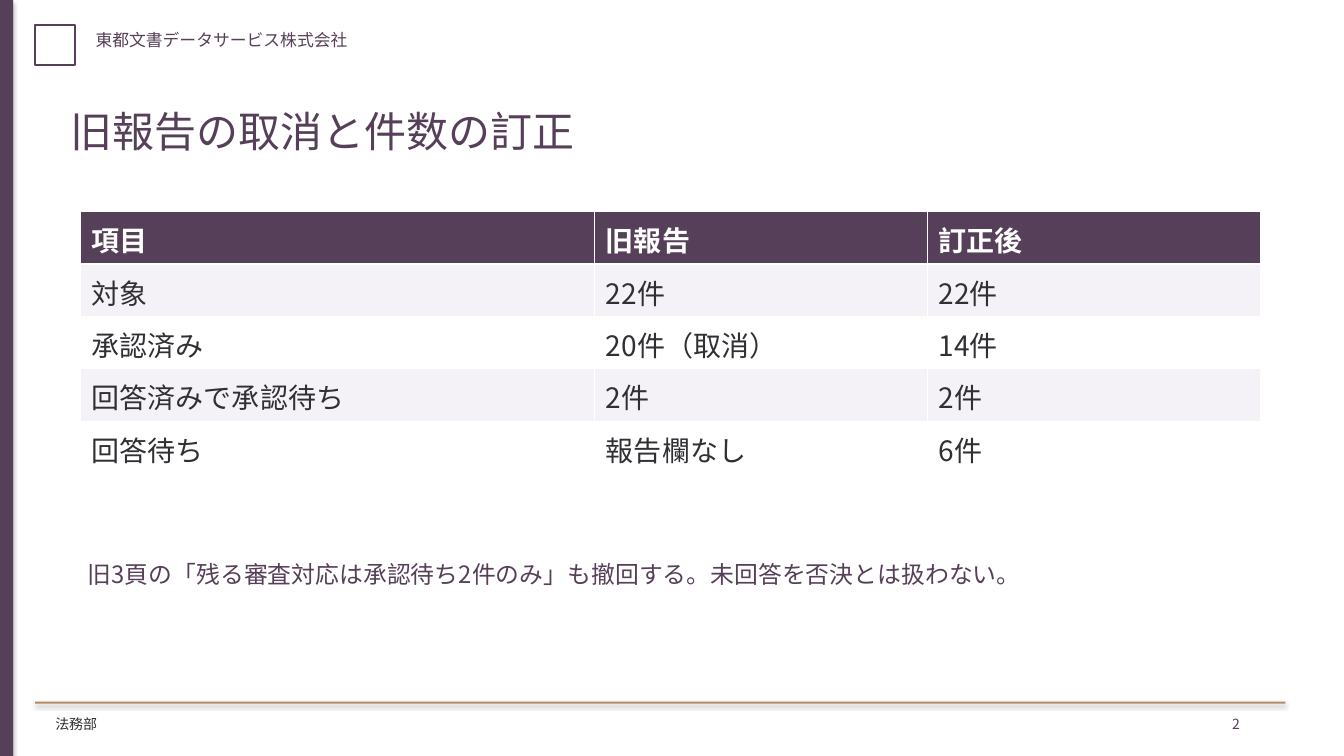
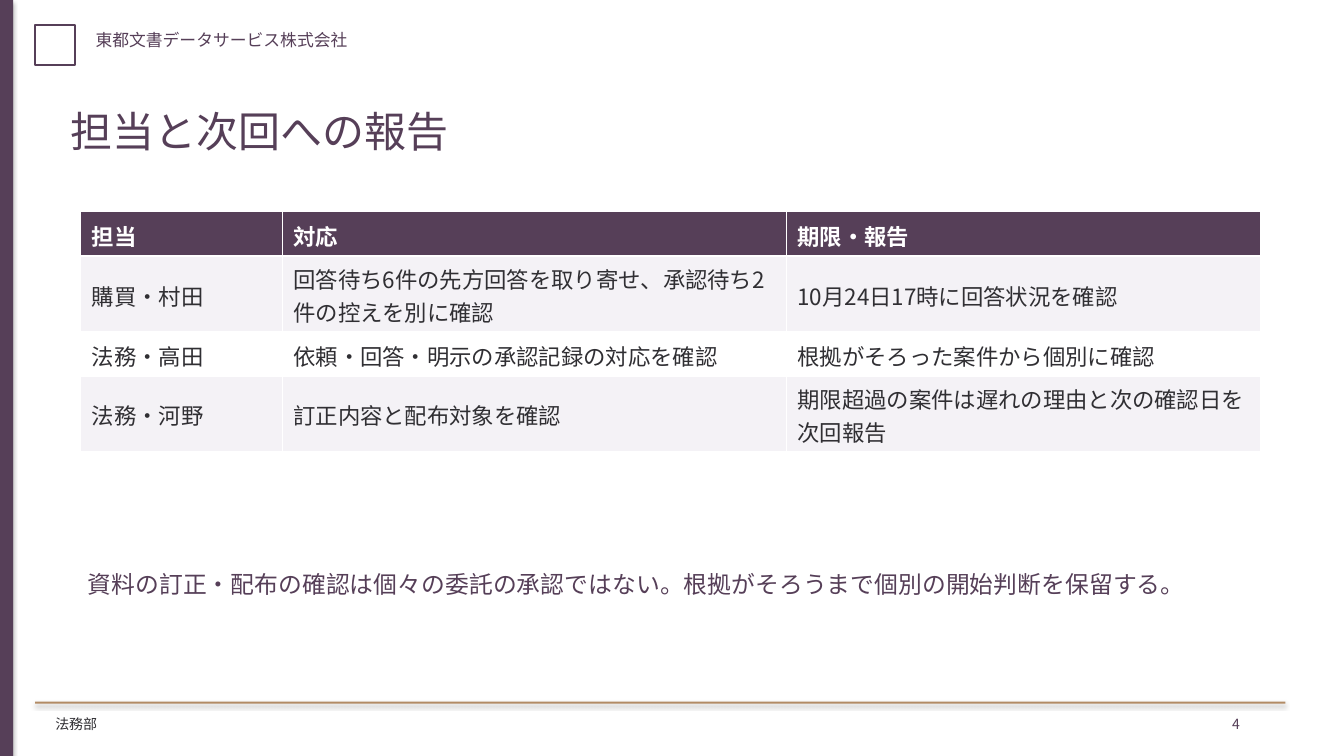
import lxml.etree
import pptx
import pptx.dml.color
import pptx.enum.shapes
import pptx.enum.text
import pptx.oxml.ns
import pptx.util

Inches = pptx.util.Inches
Pt = pptx.util.Pt
RGBColor = pptx.dml.color.RGBColor
qn = pptx.oxml.ns.qn
RECTANGLE = pptx.enum.shapes.MSO_SHAPE.RECTANGLE

PLUM = RGBColor(0x56, 0x3F, 0x58)
BRONZE = RGBColor(0xB2, 0x8B, 0x65)
INK = RGBColor(0x30, 0x2F, 0x33)
STRIPE = RGBColor(0xF4, 0xF2, 0xF6)
WHITE = RGBColor(0xFF, 0xFF, 0xFF)
FONT = "Noto Sans CJK JP"

COMPANY = "東都文書データサービス株式会社"
DEPARTMENT = "法務部"


def write(tf, text, size, color, bold=False):
    p = tf.paragraphs[0]
    p.text = text
    for r in p.runs:
        r.font.size = Pt(size)
        r.font.bold = bold
        r.font.color.rgb = color
        r.font.name = FONT
        rpr = r._r.get_or_add_rPr()
        lxml.etree.SubElement(rpr, qn("a:ea"), typeface=FONT)


def add_text(s, box, text, size, color, side=0.1):
    """Add a text box; side is its left and right inset in inches."""
    tf = s.shapes.add_textbox(*map(Inches, box)).text_frame
    tf.word_wrap = True
    tf.margin_left = tf.margin_right = Inches(side)
    write(tf, text, size, color)


def add_band(s, box, color):
    """Add a filled bar with a soft shadow below it."""
    sp = s.shapes.add_shape(RECTANGLE, *map(Inches, box))
    sp.fill.solid()
    sp.fill.fore_color.rgb = color
    sp.line.fill.background()
    sp.shadow.inherit = False
    effects = sp._element.spPr.find(qn("a:effectLst"))
    shadow = lxml.etree.SubElement(
        effects, qn("a:outerShdw"), blurRad=str(Pt(3.1)), dist=str(Pt(1.8)),
        dir="5400000", rotWithShape="0")
    black = lxml.etree.SubElement(shadow, qn("a:srgbClr"), val="000000")
    lxml.etree.SubElement(black, qn("a:alpha"), val="35000")


def add_emblem(s, box):
    sp = s.shapes.add_shape(RECTANGLE, *map(Inches, box))
    sp.fill.background()
    sp.line.color.rgb = PLUM
    sp.line.width = Pt(1.5)
    sp.shadow.inherit = False


def add_frame(s, title, number):
    """Add the side band, header, title and footer."""
    add_emblem(s, (0.35, 0.25, 0.39, 0.4))
    add_band(s, (0, 0, 0.13, 7.5), PLUM)
    add_band(s, (0.35, 6.96, 12.4, 0.02), BRONZE)
    add_text(s, (0.85, 0.25, 10, 0.4), COMPANY, 12, PLUM)
    add_text(s, (0.45, 7.05, 10, 0.3), DEPARTMENT, 10, INK)
    add_text(s, (0.6, 1, 12, 1), title, 30, PLUM)
    add_text(s, (12.15, 7.05, 0.45, 0.25), str(number), 10, PLUM, 0.07)


def set_borders(cell):
    tcpr = cell._tc.get_or_add_tcPr()
    for side in "LRTB":
        ln = lxml.etree.SubElement(tcpr, qn("a:ln" + side), w=str(Pt(1)))
        fill = lxml.etree.SubElement(ln, qn("a:solidFill"))
        lxml.etree.SubElement(fill, qn("a:srgbClr"), val=str(WHITE))


def style_cell(cell, row, text, size):
    header = row == 0
    set_borders(cell)
    cell.fill.solid()
    cell.fill.fore_color.rgb = PLUM if header else STRIPE if row % 2 else WHITE
    cell.vertical_anchor = pptx.enum.text.MSO_ANCHOR.MIDDLE
    cell.margin_left = cell.margin_right = Inches(0.11)
    cell.margin_top = Inches(0.07)
    cell.margin_bottom = Inches(0.04)
    write(cell.text_frame, text, size, WHITE if header else INK, header)


def add_grid(s, left, top, widths, heights, rows, size):
    table = s.shapes.add_table(
        len(rows), len(widths), Inches(left), Inches(top),
        Inches(sum(widths)), Inches(sum(heights))).table
    for column, width in zip(table.columns, widths):
        column.width = Inches(width)
    for i, (height, texts) in enumerate(zip(heights, rows)):
        table.rows[i].height = Inches(height)
        for j, text in enumerate(texts):
            style_cell(table.cell(i, j), i, text, size)


def add_table_slide(prs, number, title, widths, heights, rows, size, note, note_top):
    s = prs.slides.add_slide(prs.slide_layouts[6])
    add_frame(s, title, number)
    add_grid(s, 0.8, 2.1, widths, heights, rows, size)
    add_text(s, (0.8, note_top, 11.7, 0.8), note, 17, PLUM, 0.07)


def main():
    prs = pptx.Presentation()
    prs.slide_width = Inches(13.33)
    prs.slide_height = Inches(7.5)
    add_table_slide(
        prs, 2, "旧報告の取消と件数の訂正", (5.1, 3.3, 3.3), [0.52] * 5,
        [
            ("項目", "旧報告", "訂正後"),
            ("対象", "22件", "22件"),
            ("承認済み", "20件（取消）", "14件"),
            ("回答済みで承認待ち", "2件", "2件"),
            ("回答待ち", "報告欄なし", "6件"),
        ],
        20,
        "旧3頁の「残る審査対応は承認待ち2件のみ」も撤回する。未回答を否決とは扱わない。",
        5.5)
    add_table_slide(
        prs, 4, "担当と次回への報告", (2, 5, 4.7), [0.44, 0.75] * 2,
        [
            ("担当", "対応", "期限・報告"),
            ("購買・村田", "回答待ち6件の先方回答を取り寄せ、承認待ち2件の控えを別に確認",
             "10月24日17時に回答状況を確認"),
            ("法務・高田", "依頼・回答・明示の承認記録の対応を確認",
             "根拠がそろった案件から個別に確認"),
            ("法務・河野", "訂正内容と配布対象を確認",
             "期限超過の案件は遅れの理由と次の確認日を次回報告"),
        ],
        16,
        "資料の訂正・配布の確認は個々の委託の承認ではない。根拠がそろうまで個別の開始判断を保留する。",
        5.6)
    prs.save("out.pptx")


if __name__ == "__main__":
    main()
